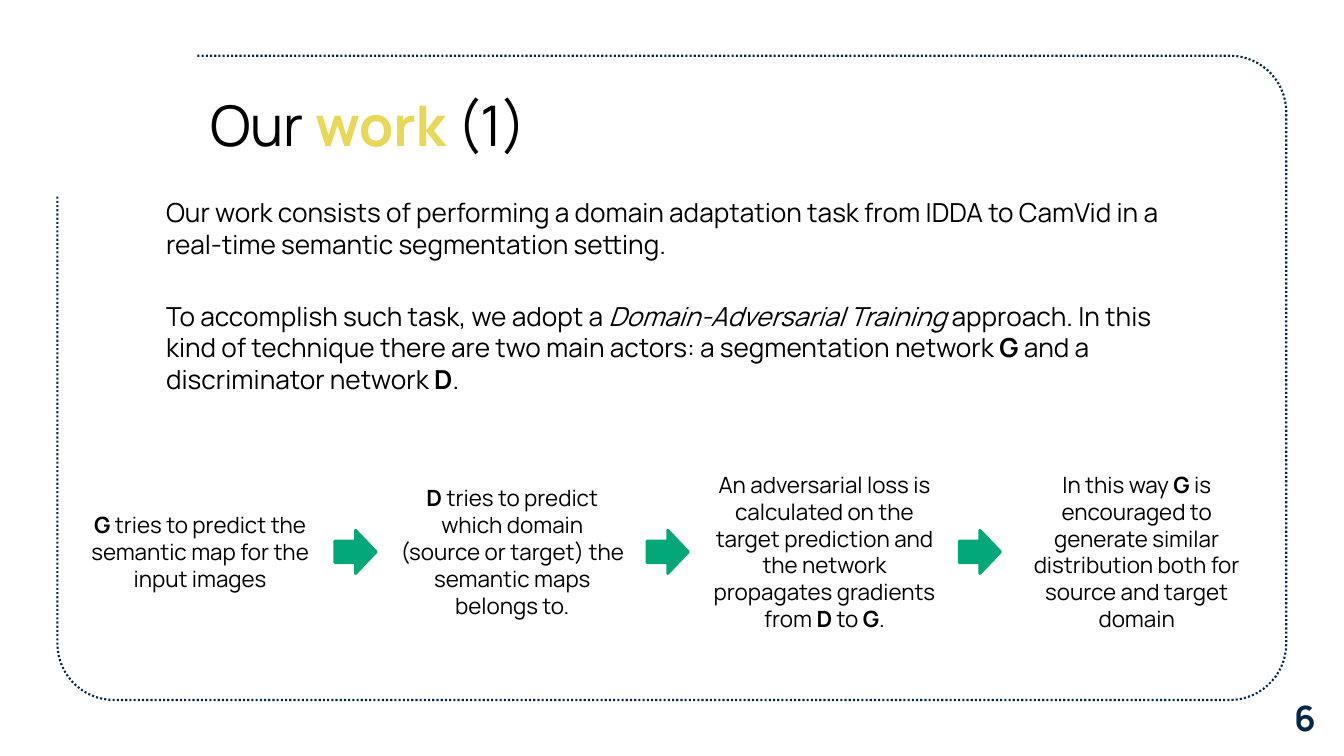
"""Build the "Our work (1)" slide with its four-step adversarial training flow."""
from math import cos, radians, sin

from lxml.etree import SubElement
from pptx import Presentation
from pptx.dml.color import RGBColor
from pptx.enum.dml import MSO_LINE
from pptx.enum.shapes import MSO_SHAPE as SHAPE
from pptx.enum.text import MSO_ANCHOR as ANCHOR, PP_ALIGN as ALIGN
from pptx.util import Pt

NAVY, YELLOW, GREEN, BLACK = "00284B", "E9D758", "04A777", "000000"


def rgb(value):
    return RGBColor.from_string(value)


def add_text(box, paragraphs, size, color=BLACK, align=ALIGN.LEFT, anchor=ANCHOR.TOP, spacing=1.0):
    """Add a text box; each paragraph is a list of (text, style) runs."""
    tf = s.shapes.add_textbox(*[Pt(v) for v in box]).text_frame
    tf.word_wrap = True
    tf.vertical_anchor = anchor
    tf.margin_left = tf.margin_right = tf.margin_top = tf.margin_bottom = Pt(9.6)
    for i, runs in enumerate(paragraphs):
        p = tf.paragraphs[0] if i == 0 else tf.add_paragraph()
        p.alignment = align
        p.line_spacing = spacing
        p.space_before = Pt(28.8 if i else 0)
        p.font.name, p.font.size, p.font.color.rgb = "Manrope", Pt(size), rgb(color)
        for text, style in runs:
            r = p.add_run()
            r.text = text
            if "b" in style:
                r.font.bold = True
            if "i" in style:
                r.font.italic = True
            if "y" in style:
                r.font.color.rgb = rgb(YELLOW)


prs = Presentation()
prs.slide_width, prs.slide_height = Pt(960), Pt(540)
s = prs.slides.add_slide(prs.slide_layouts[6])

left, top, right, bottom, radius = 41, 39.8, 918.8, 500, 40.4
corners = [
    (right - radius, top + radius, -90),
    (right - radius, bottom - radius, 0),
    (left + radius, bottom - radius, 90),
]
outline = [
    (x + radius * cos(radians(start + turn)), y + radius * sin(radians(start + turn)))
    for x, y, start in corners
    for turn in range(0, 91, 6)
]
builder = s.shapes.build_freeform(Pt(141), Pt(top))
builder.add_line_segments([(Pt(x), Pt(y)) for x, y in outline + [(left, 140.5)]], close=False)
frame = builder.convert_to_shape()
frame.shadow.inherit = False
frame.fill.background()
frame.line.color.rgb = rgb(NAVY)
frame.line.width = Pt(1.5)
frame.line.dash_style = MSO_LINE.ROUND_DOT

add_text((140.4, 55.4, 720.7, 75.6), [[("Our", ""), (" work ", "by"), ("(1)", "")]], 40)

intro = [
    [("Our work consists of performing a domain adaptation task from IDDA to CamVid "
      "in a real-time semantic segmentation setting.", "")],
    [("To accomplish such task, we adopt a ", ""), ("Domain-Adversarial Training", "i"),
     (" approach. In this kind of technique there are two main actors: a segmentation network ", ""),
     ("G ", "b"), ("and a discriminator network ", ""), ("D", "b"), (".", "")],
]
add_text((109, 131, 752, 177), intro, 18.7)
add_text((903.6, 483.1, 56.9, 58.3), [[("6", "b")]], 24.9, NAVY, ALIGN.CENTER, ANCHOR.MIDDLE)

steps = [
    [("G ", "b"), ("tries to predict the semantic map for the input images", "")],
    [("D ", "b"), ("tries to predict which domain (source or target) the semantic maps belongs to.", "")],
    [("An adversarial loss is calculated on the target prediction and the network "
      "propagates gradients from ", ""), ("D", "b"), (" to ", ""), ("G", "b"), (".", "")],
    [("In this way ", ""), ("G", "b"),
     (" is encouraged to generate similar distribution both for source and target domain", "")],
]
pitch = 223
for i, runs in enumerate(steps):
    add_text((53.3 + i * pitch, 311.5, 179.3, 164.9), [runs], 16, align=ALIGN.CENTER, anchor=ANCHOR.MIDDLE)
    if i < len(steps) - 1:
        sp = s.shapes.add_shape(SHAPE.RIGHT_ARROW, Pt(239.2 + i * pitch), Pt(378.7), Pt(29.5), Pt(31))
        sp.shadow.inherit = False
        sp.fill.solid()
        sp.fill.fore_color.rgb = rgb(GREEN)
        sp.line.color.rgb = rgb(GREEN)
        sp.line.width = Pt(2)

prs.save("out.pptx")
